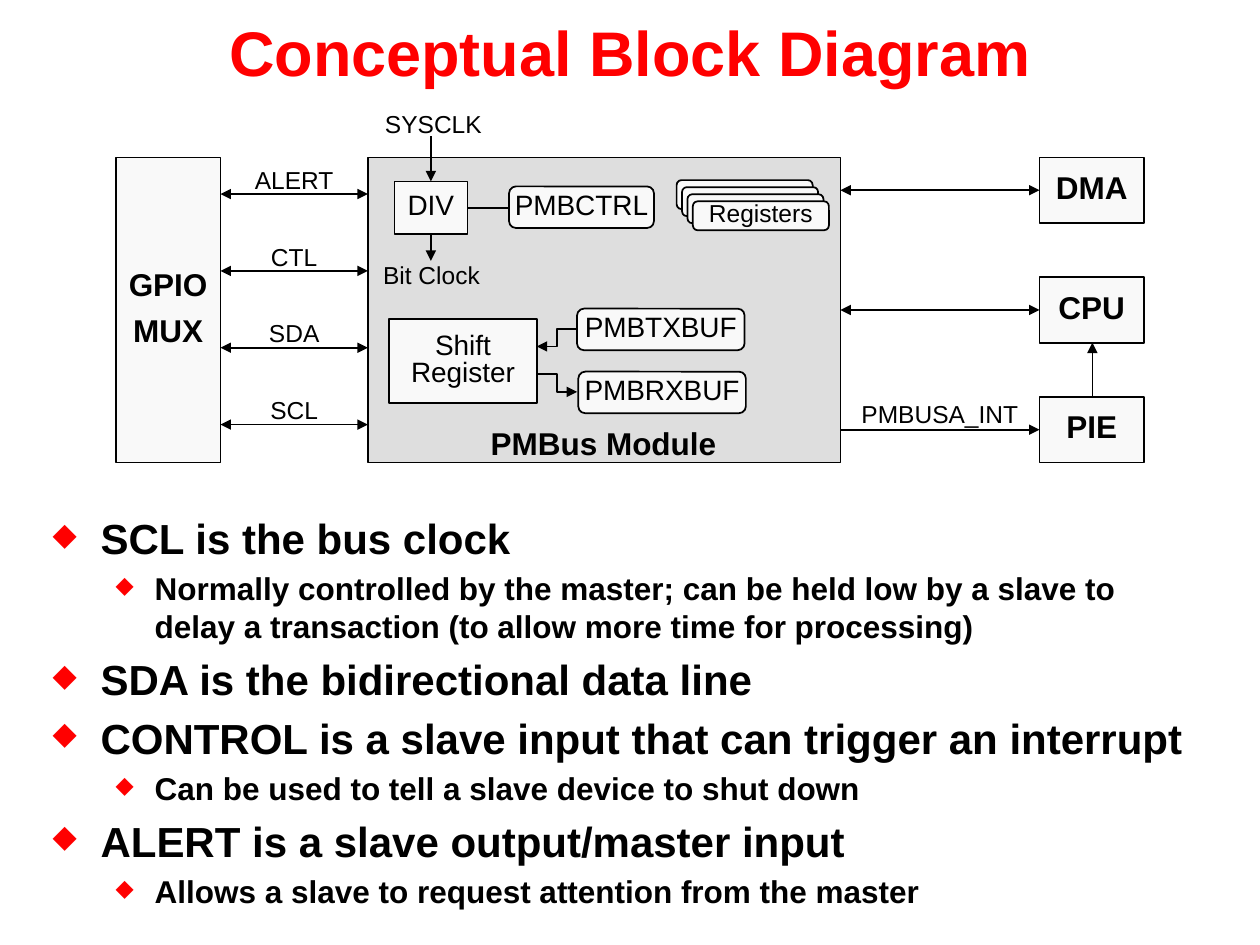
from pptx import Presentation
from pptx.dml.color import RGBColor
from pptx.enum.shapes import MSO_CONNECTOR as LINK, MSO_SHAPE as SHAPE
from pptx.enum.text import MSO_ANCHOR as ANCHOR, PP_ALIGN as ALIGN
from pptx.oxml.ns import qn
from pptx.util import Inches, Pt
from lxml import etree

COLORS = {"title": "FF0000", "text": "000000", "block": "F9F9F9", "module": "DEDEDE"}
COLORS = {name: RGBColor.from_string(value) for name, value in COLORS.items()}

deck = Presentation()
deck.slide_width, deck.slide_height = Inches(10), Inches(7.5)
page = deck.slides.add_slide(deck.slide_layouts[6])


def add_block(text, left, top, width, height, size=16, bold=False, shape=None,
              fill="block", wrap=True):
    """Add a filled block, or a plain label when no shape is given."""
    area = [Inches(value) for value in (left, top, width, height)]
    if shape is None:
        box = page.shapes.add_textbox(*area)
    else:
        box = page.shapes.add_shape(shape, *area)
        box.shadow.inherit = False
        box.fill.solid()
        box.fill.fore_color.rgb = COLORS[fill]
        box.line.color.rgb = COLORS["text"]
        box.line.width = Pt(1)
    frame = box.text_frame
    frame.margin_left = frame.margin_right = frame.margin_top = frame.margin_bottom = 0
    frame.vertical_anchor = ANCHOR.MIDDLE
    frame.word_wrap = wrap
    for index, line in enumerate(text.split("\n") if text else []):
        para = frame.paragraphs[0] if index == 0 else frame.add_paragraph()
        para.text = line
        para.alignment = ALIGN.CENTER
        para.line_spacing = 0.8
        if index:
            para.space_before = Pt(size / 2)
        para.font.name, para.font.size, para.font.bold = "Arial", Pt(size), bold
        para.font.color.rgb = COLORS["text"]


def add_link(x1, y1, x2, y2, ends="tail", kind=LINK.STRAIGHT):
    """Add a connector with arrowheads at the named ends."""
    link = page.shapes.add_connector(kind, Inches(x1), Inches(y1), Inches(x2), Inches(y2))
    link.line.color.rgb = COLORS["text"]
    link.line.width = Pt(1)
    outline = link.line._get_or_add_ln()
    for end in ends.split():
        etree.SubElement(outline, qn(f"a:{end}End"), type="triangle")
    etree.SubElement(link._element.spPr, qn("a:effectLst"))


# Title
title = page.shapes.add_textbox(0, 0, Inches(10), Inches(0.81)).text_frame
title.word_wrap = True
title.vertical_anchor = ANCHOR.MIDDLE
para = title.paragraphs[0]
para.text = "Conceptual Block Diagram"
para.alignment = ALIGN.CENTER
para.font.name, para.font.size, para.font.bold = "Arial", Pt(36), True
para.font.color.rgb = COLORS["title"]

# Outer blocks and the module
add_block("GPIO\nMUX", 0.92, 1.25, 0.83, 2.42, 18, True, SHAPE.RECTANGLE)
for row, name in enumerate(["DMA", "CPU", "PIE"]):
    add_block(name, 8.25, 1.25 + 0.95 * row, 0.83, 0.52, 18, True, SHAPE.RECTANGLE)
add_block("", 2.92, 1.25, 3.75, 2.42, shape=SHAPE.RECTANGLE, fill="module")
add_block("PMBus Module", 3.83, 3.37, 1.92, 0.34, 18, True, wrap=False)

# Parts inside the module
add_block("Shift Register", 3.09, 2.53, 1.17, 0.67, shape=SHAPE.RECTANGLE)
add_block("DIV", 3.13, 1.44, 0.58, 0.42, shape=SHAPE.RECTANGLE)
add_link(3.71, 1.65, 4.05, 1.65, ends="")
for name, left, top, width in [("PMBCTRL", 4.04, 1.48, 1.15),
                               ("PMBTXBUF", 4.58, 2.45, 1.33),
                               ("PMBRXBUF", 4.59, 2.95, 1.33)]:
    add_block(name, left, top, width, 0.33, shape=SHAPE.ROUNDED_RECTANGLE)
for layer, name in enumerate(["", "", "", "Registers"]):
    add_block(name, 5.37 + 0.043 * layer, 1.43 + 0.056 * layer, 1.08, 0.23, 14,
              shape=SHAPE.ROUNDED_RECTANGLE)
add_link(4.58, 2.61, 4.26, 2.75, kind=LINK.ELBOW)
add_link(4.26, 2.97, 4.58, 3.11, kind=LINK.ELBOW)

# Clock path
add_block("SYSCLK", 3.05, 0.91, 0.78, 0.19, 14, wrap=False)
add_link(3.42, 1.08, 3.42, 1.44)
add_link(3.42, 1.85, 3.42, 2.07)
add_block("Bit Clock", 3.04, 2.11, 0.77, 0.19, 14, wrap=False)

# Bus signals
for row, name in enumerate(["ALERT", "CTL", "SDA", "SCL"]):
    y = 1.54 + 0.61 * row
    add_link(1.75, y, 2.92, y, ends="head tail")
    add_block(name, 2.02, y - 0.19, 0.63, 0.19, 14, wrap=False)

# Links to the processor side
for y, ends in [(1.51, "head tail"), (2.46, "head tail"), (3.41, "tail")]:
    add_link(6.67, y, 8.25, y, ends)
add_link(8.67, 3.15, 8.67, 2.72)
add_block("PMBUSA_INT", 6.83, 3.21, 1.26, 0.19, 14, wrap=False)

# Bullets: level and text
bullets = [
    (0, "SCL is the bus clock"),
    (1, "Normally controlled by the master; can be held low by a slave to "
        "delay a transaction (to allow more time for processing)"),
    (0, "SDA is the bidirectional data line"),
    (0, "CONTROL is a slave input that can trigger an interrupt"),
    (1, "Can be used to tell a slave device to shut down"),
    (0, "ALERT is a slave output/master input"),
    (1, "Allows a slave to request attention from the master"),
]
LEVELS = [(24, 0.38, -0.38), (18, 0.81, -0.31)]  # size, margin, indent
body = page.shapes.add_textbox(Inches(0.32), Inches(3.99), Inches(9.33), Inches(3.33)).text_frame
body.word_wrap = True
body.margin_top = Inches(0.08)
for index, (level, text) in enumerate(bullets):
    size, margin, indent = LEVELS[level]
    para = body.paragraphs[0] if index == 0 else body.add_paragraph()
    para.text = text
    para.level = level
    if index:
        para.space_before = Pt(0.2 * size)
    props = para._p.get_or_add_pPr()
    props.set("marL", str(Inches(margin)))
    props.set("indent", str(Inches(indent)))
    bullet_color = etree.SubElement(props, qn("a:buClr"))
    etree.SubElement(bullet_color, qn("a:srgbClr"), val=str(COLORS["title"]))
    etree.SubElement(props, qn("a:buSzPct"), val="75000")
    etree.SubElement(props, qn("a:buChar"), char="◆")
    para.font.name, para.font.size, para.font.bold = "Arial", Pt(size), True
    para.font.color.rgb = COLORS["text"]

deck.save("out.pptx")
